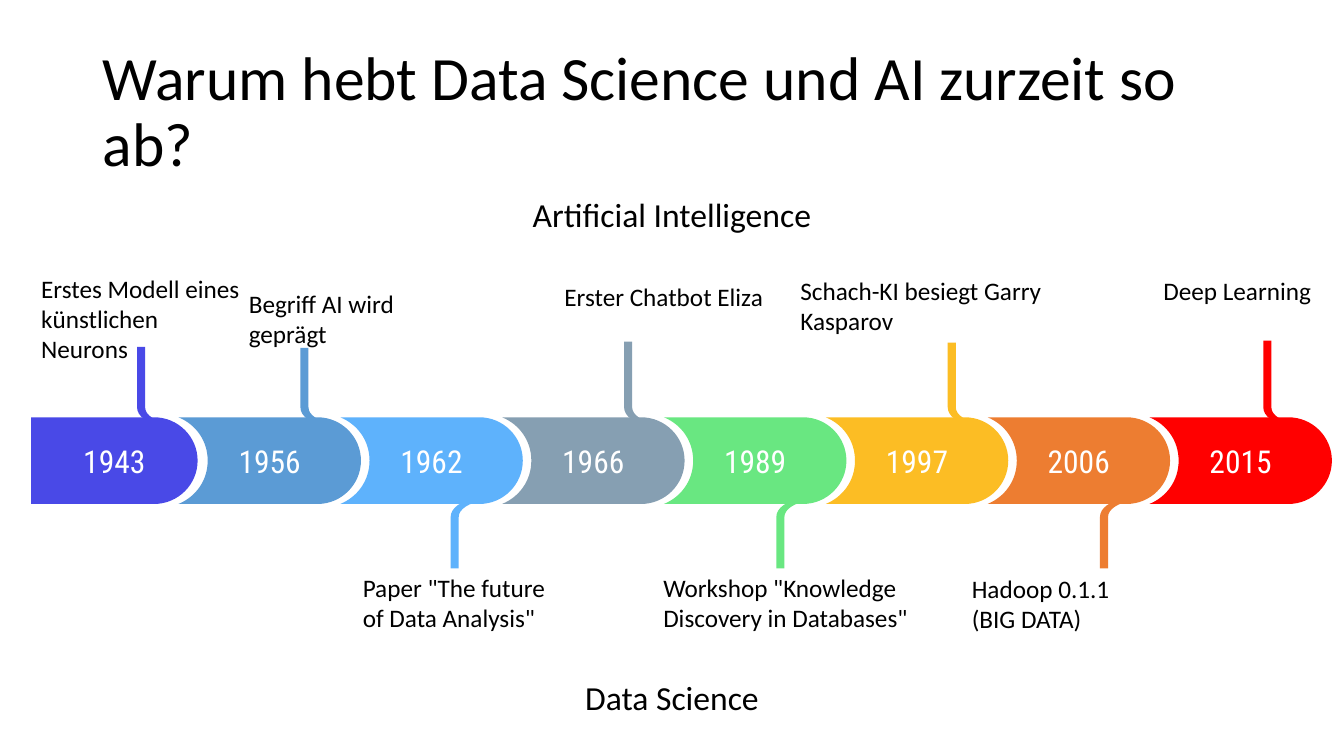
from lxml import etree
from pptx import Presentation
from pptx.dml.color import RGBColor
from pptx.enum.text import MSO_ANCHOR, MSO_AUTO_SIZE, PP_ALIGN
from pptx.oxml.ns import qn
from pptx.util import Inches, Pt

LEFT, CENTER = PP_ALIGN.LEFT, PP_ALIGN.CENTER
TOP, MIDDLE = MSO_ANCHOR.TOP, MSO_ANCHOR.MIDDLE
GROW, FIXED = MSO_AUTO_SIZE.SHAPE_TO_FIT_TEXT, MSO_AUTO_SIZE.NONE

COLORS = {
    "text": "000000", "year": "FFFFFF",
    "1943": "4949E7", "1956": "5B9BD5", "1962": "5EB2FC", "1966": "869FB2",
    "1989": "69E781", "1997": "FCBD24", "2006": "ED7D31", "2015": "FF0000",
}

# Timeline band
BAND_TOP, BAND_BOTTOM = 4.14, 5.0
BAND_MID = (BAND_TOP + BAND_BOTTOM) / 2
RADIUS = (BAND_BOTTOM - BAND_TOP) / 2
FIRST_LEFT, FIRST_WIDTH = 0.31, 1.65
SECOND_LEFT, WIDTH, PITCH = 1.77, 1.81, 1.605
KAPPA = 0.55

# Year, stem left, stem end (above or below the band)
EVENTS = [
    ("1943", 1.36, 3.44), ("1956", 2.98, 3.45),
    ("1962", 4.47, 5.64), ("1966", 6.19, 3.39),
    ("1989", 7.70, 5.64), ("1997", 9.40, 3.40),
    ("2006", 10.91, 5.64), ("2015", 12.53, 3.38),
]

# Paragraphs, left, top, width, height
LABELS = [
    (["Erstes Modell eines künstlichen", "Neurons"], 0.31, 2.66, 2.17, 1.01),
    (["Begriff AI wird geprägt"], 2.37, 2.81, 2.17, 0.71),
    (['Paper "The future of Data Analysis"'], 3.5, 5.63, 2.17, 0.71),
    (["Erster Chatbot Eliza"], 5.5, 2.74, 2.17, 0.71),
    (['Workshop "Knowledge Discovery in Databases"'], 6.48, 5.63, 2.69, 0.71),
    (["Schach-KI besiegt Garry Kasparov"], 7.84, 2.68, 2.69, 0.71),
    (["Hadoop 0.1.1\n(BIG DATA)"], 9.54, 5.64, 2.69, 0.71),
    (["Deep Learning"], 11.44, 2.68, 2.69, 0.4),
]


def rgb(name):
    return RGBColor.from_string(COLORS[name])


def style(p, size, color="text", font="Calibri", align=LEFT):
    p.alignment = align
    p.font.size = Pt(size)
    p.font.name = font
    p.font.color.rgb = rgb(color)


def add_text(s, paragraphs, x, y, w, h, size=18, align=LEFT, anchor=TOP,
             spacing=None, auto_size=GROW):
    box = s.shapes.add_textbox(Inches(x), Inches(y), Inches(w), Inches(h))
    tf = box.text_frame
    tf.word_wrap = True
    tf.auto_size = auto_size
    tf.vertical_anchor = anchor
    for i, text in enumerate(paragraphs):
        p = tf.add_paragraph() if i else tf.paragraphs[0]
        p.text = text
        p.line_spacing = spacing
        style(p, size, align=align)


def add_outline(s, start, steps, color):
    """Each step lists its points: one for a line, three for a Bezier curve."""
    builder = s.shapes.build_freeform(Inches(start[0]), Inches(start[1]))
    builder.add_line_segments(
        [(Inches(step[-1][0]), Inches(step[-1][1])) for step in steps])
    sp = builder.convert_to_shape()
    # Turn the lines that have control points into curves
    lines = list(sp._element.iter(qn("a:lnTo")))
    for line, step in zip(lines, steps):
        if len(step) == 3:
            line.tag = qn("a:cubicBezTo")
            for i, (x, y) in enumerate(step[:2]):
                pt = etree.Element(qn("a:pt"), x=str(Inches(x) - sp.left),
                                   y=str(Inches(y) - sp.top))
                line.insert(i, pt)
    sp.shadow.inherit = False
    sp.fill.solid()
    sp.fill.fore_color.rgb = rgb(color)
    sp.line.fill.background()
    return sp


def add_stem(s, year, x, end):
    # The foot bends to the right where it meets the band
    base, d = (4.23, -1) if end < BAND_MID else (4.94, 1)
    bend = base + 0.19 * d
    inner = base + 0.02 * d
    add_outline(s, (x, end), [
        [(x, bend)],
        [(x, bend - 0.09 * d), (x + 0.1, base + 0.03 * d), (x + 0.26, base)],
        [(x + 0.33, base)],
        [(x + 0.33, inner)],
        [(x + 0.18, inner + 0.03 * d), (x + 0.08, bend - 0.08 * d),
         (x + 0.08, bend)],
        [(x + 0.08, end)],
    ], year)


def add_segment(s, year, x, width, notched):
    right, tip = x + width, x + 0.29
    mid_x, k = right - RADIUS, RADIUS * KAPPA
    left_edge = [[(x, BAND_BOTTOM)]]
    if notched:
        left_edge = [
            [(x + 0.17, BAND_TOP + 0.07), (tip, BAND_MID - 0.2),
             (tip, BAND_MID)],
            [(tip, BAND_MID + 0.2), (x + 0.17, BAND_BOTTOM - 0.07),
             (x, BAND_BOTTOM)],
        ]
    sp = add_outline(s, (x, BAND_TOP), left_edge + [
        [(mid_x, BAND_BOTTOM)],
        [(mid_x + k, BAND_BOTTOM), (right, BAND_MID + k), (right, BAND_MID)],
        [(right, BAND_MID - k), (mid_x + k, BAND_TOP), (mid_x, BAND_TOP)],
    ], year)
    tf = sp.text_frame
    tf.margin_left = tf.margin_right = Inches(0.13)
    tf.margin_top = tf.margin_bottom = Inches(0.13)
    tf.word_wrap = True
    tf.vertical_anchor = MIDDLE
    p = tf.paragraphs[0]
    p.text = year
    style(p, 22.5, "year", "Roboto Condensed", CENTER)


def main():
    prs = Presentation()
    prs.slide_width, prs.slide_height = Inches(13.33), Inches(7.5)
    s = prs.slides.add_slide(prs.slide_layouts[6])

    # Title
    add_text(s, ["Warum hebt Data Science und AI zurzeit so ab?"],
             0.92, 0.4, 11.5, 1.45, size=44, anchor=MIDDLE, spacing=0.9,
             auto_size=FIXED)

    # Timeline
    for i, (year, stem_x, stem_end) in enumerate(EVENTS):
        add_stem(s, year, stem_x, stem_end)
        if i:
            add_segment(s, year, SECOND_LEFT + (i - 1) * PITCH, WIDTH, True)
        else:
            add_segment(s, year, FIRST_LEFT, FIRST_WIDTH, False)

    # Event labels
    for label in LABELS:
        add_text(s, *label)

    # Headings of the two rows
    for heading, y in (("Artificial Intelligence", 1.87), ("Data Science", 6.67)):
        add_text(s, [heading], 5.03, y, 3.27, 0.5, size=24, align=CENTER)

    prs.save("out.pptx")


if __name__ == "__main__":
    main()
